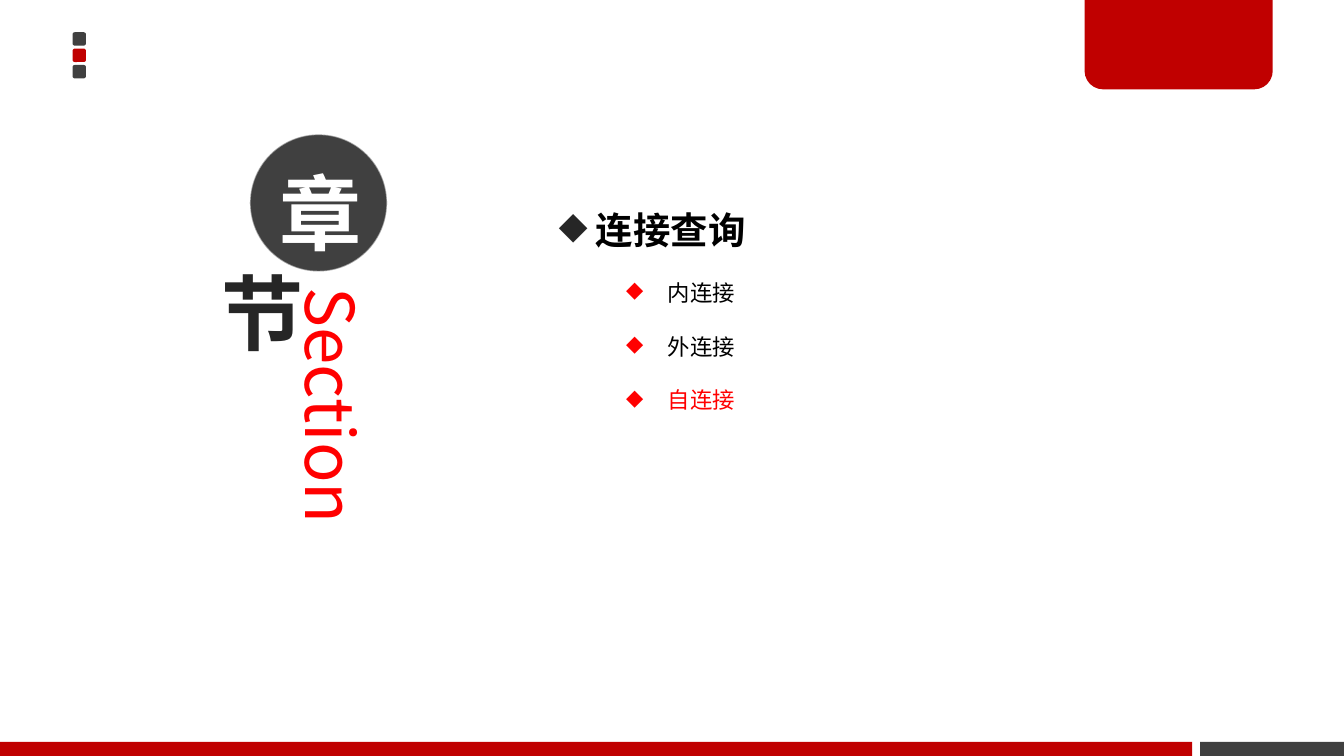
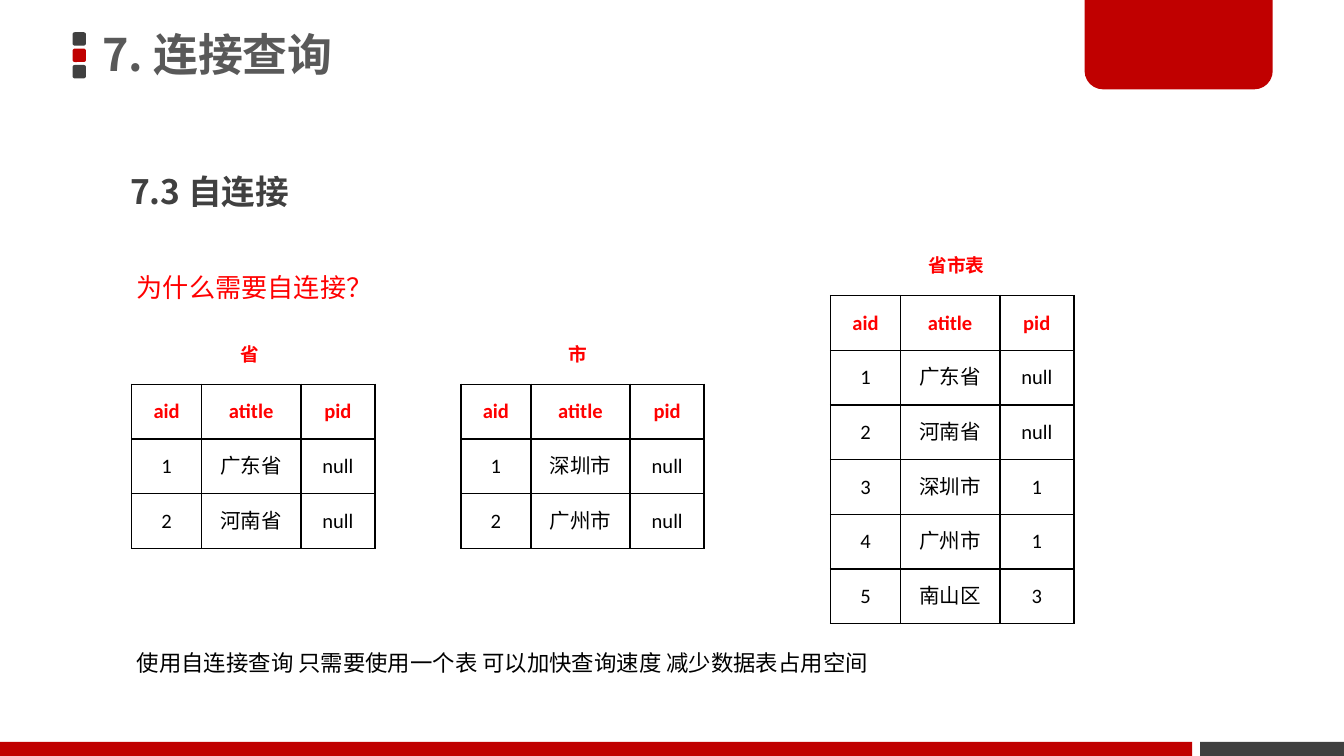
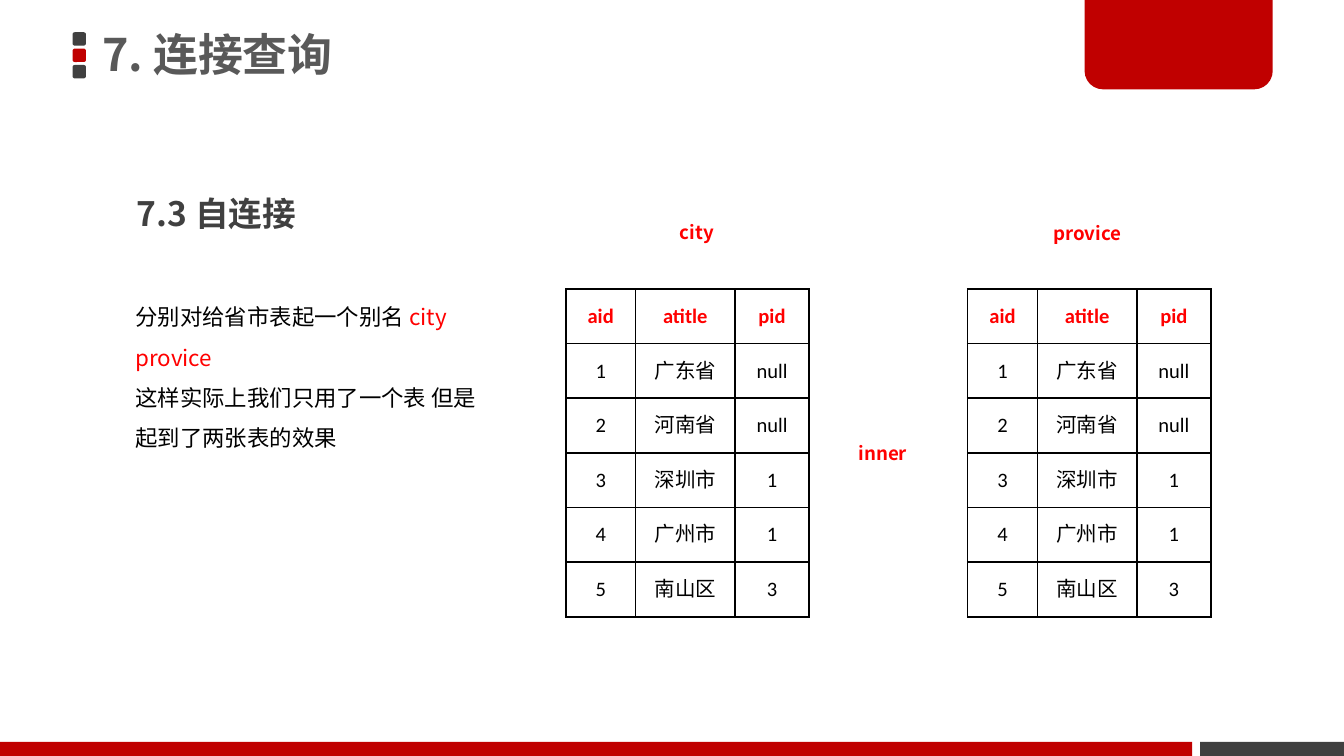
from lxml.etree import SubElement as Sub
from pptx import Presentation
from pptx.dml.color import RGBColor
from pptx.enum.shapes import MSO_SHAPE as Form
from pptx.enum.text import MSO_ANCHOR as Anchor, MSO_AUTO_SIZE as Fit, PP_ALIGN as Align
from pptx.oxml.ns import qn
from pptx.util import Inches, Pt

RED = RGBColor(0xC0, 0x00, 0x00)
BRIGHT = RGBColor(0xFF, 0x00, 0x00)
DARK = RGBColor(0x40, 0x40, 0x40)
INK = RGBColor(0x26, 0x26, 0x26)
GREY = RGBColor(0x59, 0x59, 0x59)
BLACK = RGBColor(0x00, 0x00, 0x00)
WHITE = RGBColor(0xFF, 0xFF, 0xFF)

SANS, LATIN = "Noto Sans CJK SC", "Calibri"
TIGHT = (0.7, 0.4, 0.7, 0.4)
LOOSE = (1, 0.5, 1, 0.5)
WIDE, HIGH = Inches(10), Inches(5.625)
COLS = 100  # square grid cells across the slide

HEAD = ("aid", "atitle", "pid")
AREAS = [HEAD, ("1", "广东省", "null"), ("2", "河南省", "null"),
         ("3", "深圳市", "1"), ("4", "广州市", "1"), ("5", "南山区", "3")]
TOWNS = [HEAD, ("1", "深圳市", "null"), ("2", "广州市", "null")]


def unit(cells):
    return round(cells * WIDE / COLS)


def paint(parent, color, alpha=None):
    """Add a solid fill to an XML element."""
    tint = Sub(Sub(parent, qn("a:solidFill")), qn("a:srgbClr"), val=str(color))
    if alpha:
        Sub(tint, qn("a:alpha"), val=str(alpha * 1000))


class Deck:
    """Holds the style and the current slide; lengths are grid cells."""

    def __init__(self):
        self.show = Presentation()
        self.show.slide_width, self.show.slide_height = WIDE, HIGH
        self.page = None

    def start(self, title=None):
        self.page = self.show.slides.add_slide(self.show.slide_layouts[6])
        # Marker of three squares
        group = self.page.shapes.add_group_shape()
        for step, color in enumerate((DARK, RED, DARK)):
            self.shape(Form.ROUNDED_RECTANGLE, (5.4, 2.4 + 1.22 * step, 1, 1), color, group)
        # Footer bands and corner tab
        self.shape(Form.RECTANGLE, (89.3, 55.2, 10.7, 1.05), DARK)
        tab = self.shape(Form.ROUND_2_SAME_RECTANGLE, (80.7, -0.2, 14, 6.85), RED)
        tab.adjustments[0], tab.adjustments[1] = 0, 0.2
        self.shape(Form.RECTANGLE, (0, 55.2, 88.7, 1.05), RED)
        if title:
            self.text((6.9, -0.2, 58.9, 8.9), title, 24, GREY, bold=True, space=0.9,
                      pad=TIGHT, anchor=Anchor.MIDDLE, fit=Fit.NONE)

    def shape(self, form, spot, color=None, home=None):
        item = (home or self.page).shapes.add_shape(form, *map(unit, spot))
        item.shadow.inherit = False
        item.line.fill.background()
        if color is None:
            item.fill.background()
        else:
            item.fill.solid()
            item.fill.fore_color.rgb = color
        return item

    def frame(self, item, pad=LOOSE, anchor=Anchor.TOP, wrap=True, fit=Fit.NONE):
        frame = item.text_frame
        frame.word_wrap, frame.auto_size = wrap, fit
        frame.vertical_anchor = anchor
        (frame.margin_left, frame.margin_top,
         frame.margin_right, frame.margin_bottom) = map(unit, pad)
        return frame

    def box(self, spot, **look):
        return self.frame(self.page.shapes.add_textbox(*map(unit, spot)), **look)

    def style(self, para, size, color, bold=False, font=SANS, align=Align.LEFT, space=None):
        para.alignment, para.line_spacing = align, space
        for run in para.runs:
            run.font.size, run.font.bold, run.font.name = Pt(size), bold, font
            run.font.color.rgb = color
            Sub(run.font._element, qn("a:ea"), typeface=font)

    def text(self, spot, words, size, color, bold=False, space=None,
             fit=Fit.SHAPE_TO_FIT_TEXT, **look):
        frame = self.box(spot, fit=fit, **look)
        frame.text = words
        for para in frame.paragraphs:
            self.style(para, size, color, bold, space=space)
        return frame

    def topic(self, left, top):
        self.text((left, top, 38.4, 5), "7.3 自连接", 18, DARK, bold=True, space=1.5)

    def label(self, left, top, width, words):
        self.text((left, top, width, 2.8), words, 10, BRIGHT, bold=True, wrap=False)

    def disc(self, spot, sign, ink, color=None, space=None, pad=TIGHT):
        item = self.shape(Form.OVAL, spot, color)
        frame = self.frame(item, pad, Anchor.MIDDLE)
        frame.text = sign
        self.style(frame.paragraphs[0], 44, ink, True, align=Align.CENTER, space=space)
        return item

    def bullet(self, para, color, left, hang):
        props = para._p.get_or_add_pPr()
        props.set("marL", str(unit(left)))
        props.set("indent", str(-unit(hang)))
        Sub(Sub(props, qn("a:buClr")), qn("a:srgbClr"), val=str(color))
        Sub(props, qn("a:buChar"), char="◆")

    def table(self, left, top, rows):
        widths, tall = (5.2, 7.4, 5.5), 4.07
        spot = (left, top, sum(widths), tall * len(rows))
        grid = self.page.shapes.add_table(len(rows), len(widths), *map(unit, spot)).table
        grid.first_row = grid.horz_banding = False
        for col, width in zip(grid.columns, widths):
            col.width = unit(width)
        for r, row in enumerate(rows):
            grid.rows[r].height = unit(tall)
            for c, words in enumerate(row):
                cell = grid.cell(r, c)
                cell.text = words
                cell.vertical_anchor = Anchor.MIDDLE
                self.style(cell.text_frame.paragraphs[0], 11, BLACK if r else BRIGHT,
                           r == 0, LATIN, Align.CENTER)
                self.edge(cell)

    def edge(self, cell):
        props = cell._tc.get_or_add_tcPr()
        for side in ("lnL", "lnR", "lnT", "lnB"):
            paint(Sub(props, qn("a:" + side), w=str(Pt(1))), BLACK)
        cell.fill.background()


def agenda(deck):
    deck.start()
    # Section sign
    side = deck.text((21.4, 21, 7, 28.9), "Section", 36, BRIGHT, pad=TIGHT, fit=Fit.NONE)
    side._txBody.bodyPr.set("vert", "vert")
    disc = deck.disc((18.6, 10, 10.2, 10.2), "章", WHITE, DARK, Pt(70), (0.7, 0.4, 0.7, 1.5))
    disc.line.width = 0
    paint(disc.line._get_or_add_ln(), WHITE, 49)
    for gone in disc.line._ln.findall(qn("a:noFill")):
        disc.line._ln.remove(gone)
    sign = deck.disc((14.6, 19.2, 8, 8), "节", INK)
    props = sign.text_frame.paragraphs[0].runs[0].font._element
    rim = Sub(props, qn("a:ln"), w=str(Pt(0.25)))
    paint(rim, WHITE)
    props.insert(0, rim)
    # Contents list
    items = deck.box((40.6, 11.6, 47.2, 23.3), fit=Fit.SHAPE_TO_FIT_TEXT)
    items.text = " 连接查询\n内连接\n外连接\n自连接"
    first, *rest = items.paragraphs
    deck.style(first, 20, BLACK, True, space=2.0)
    deck.bullet(first, INK, 1.9, 1.9)
    for para in rest:
        para.level = 1
        deck.style(para, 12, BRIGHT if para.text == "自连接" else BLACK, space=2.0)
        deck.bullet(para, BRIGHT, 8.1, 3.1)


def reason(deck):
    deck.start("7. 连接查询")
    deck.topic(8.7, 10.7)
    deck.text((9.2, 19.7, 18.7, 3.4), "为什么需要自连接？", 14, BRIGHT)
    deck.text((9.2, 47.8, 57, 3), "使用自连接查询 只需要使用一个表 可以加快查询速度 减少数据表占用空间",
              12, BLACK, wrap=False)
    # Two separate tables, then the merged one
    deck.table(9.8, 28.6, AREAS[:3])
    deck.table(34.3, 28.6, TOWNS)
    deck.table(61.8, 22, AREAS)
    deck.label(16.9, 25, 3.5, "省")
    deck.label(41.3, 25, 3.5, "市")
    deck.label(68.1, 18.4, 6.4, "省市表")


def alias(deck):
    deck.start("7. 连接查询")
    deck.topic(9.2, 12.4)
    # Explanation with the alias names in red
    frame = deck.box((9.1, 21.1, 28.3, 12.8), fit=Fit.SHAPE_TO_FIT_TEXT)
    frame.text = "分别对给省市表起一个别名 \n这样实际上我们只用了一个表 但是起到了两张表的效果"
    names = frame.paragraphs[0].add_run()
    names.text = "city provice"
    for para in frame.paragraphs:
        deck.style(para, 12, BLACK, space=1.5)
    names.font.color.rgb = BRIGHT
    # The same table under two names
    deck.label(49.6, 15.9, 4.7, "city")
    deck.label(77.4, 16, 7.5, "provice")
    deck.label(62.9, 32.4, 5.8, "inner")
    for left in (42.1, 72):
        deck.table(left, 21.5, AREAS)


def main():
    deck = Deck()
    for build in (agenda, reason, alias):
        build(deck)
    deck.show.save("out.pptx")


if __name__ == "__main__":
    main()
